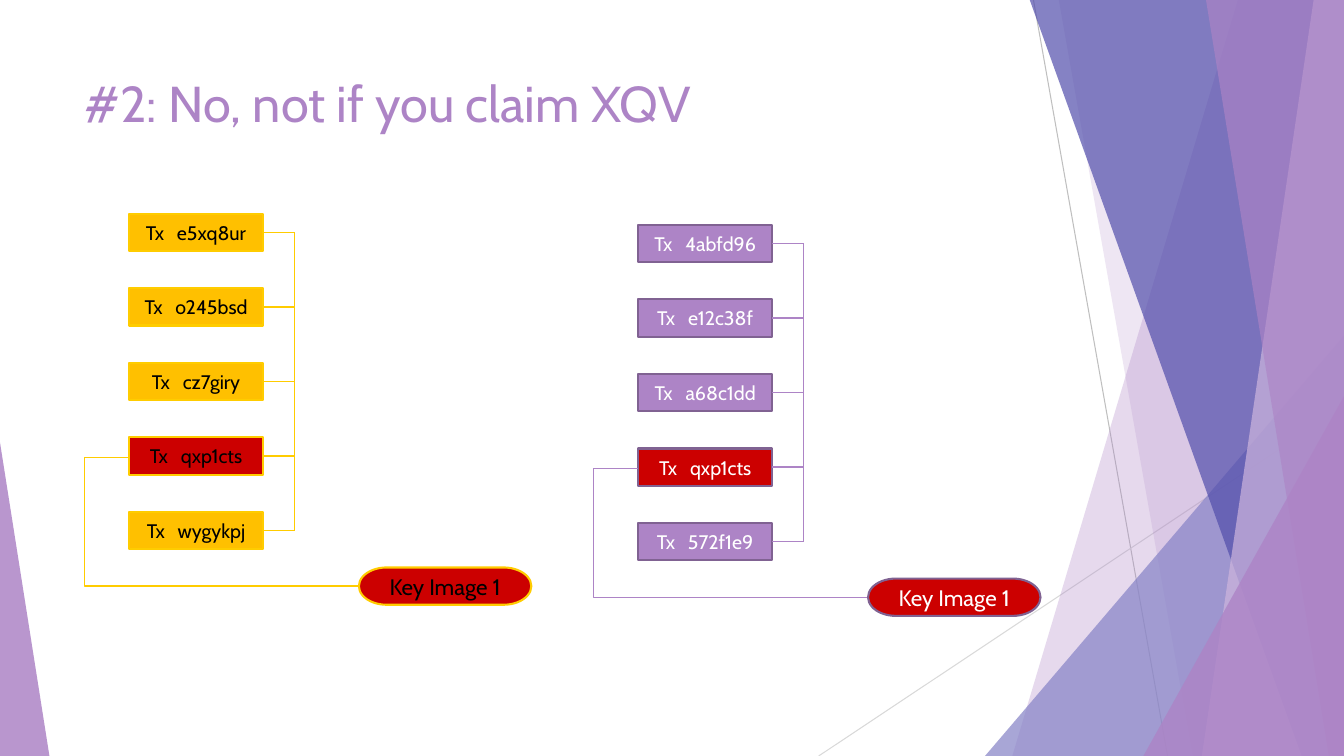
from dataclasses import dataclass

import lxml.etree
import pptx
import pptx.dml.color
import pptx.enum.shapes
import pptx.enum.text
import pptx.oxml.ns
import pptx.util

PX = 9144  # EMU in one px, 100 px to the inch
WIDTH, HEIGHT = 1333, 750
FONT = "Cabin"
COLORS = {
    "lilac": "AD84C6", "pale lilac": "CEB5DD", "blue": "8784C7", "indigo": "524EAB",
    "plum": "806292", "amber": "FFC000", "yellow": "FFCC00", "red": "CC0000",
    "black": "000000", "white": "FFFFFF", "grey": "BFBFBF", "light grey": "D9D9D9",
}
Kind = pptx.enum.shapes.MSO_SHAPE
Link = pptx.enum.shapes.MSO_CONNECTOR
Align = pptx.enum.text.PP_ALIGN
Anchor = pptx.enum.text.MSO_ANCHOR
qn = pptx.oxml.ns.qn


@dataclass
class Shard:
    """A slanted band that reaches the right edge of the slide."""
    top_x: int
    bottom_x: int
    color: str
    opacity: int


@dataclass
class Wedge:
    """A triangle standing on the bottom edge, its peak at the left (0) or right (1)."""
    left: int
    top: int
    width: int
    peak: int
    color: str
    opacity: int


@dataclass
class Ring:
    """A column of transactions that share one key image."""
    left: int
    top: int
    hashes: tuple[str, ...]
    fill: str
    border: str
    wire: str
    ink: str


BACKDROP = (
    Shard(1228, 1004, "lilac", 30),
    Shard(1050, 1183, "lilac", 20),
    Wedge(977, 333, 356, 1, "blue", 72),
    Shard(1021, 1291, "indigo", 70),
    Shard(1303, 1192, "pale lilac", 70),
    Shard(1196, 1318, "lilac", 65),
    Wedge(1134, 393, 199, 1, "lilac", 80),
    Wedge(0, 439, 49, 0, "lilac", 85),
)
RINGS = (
    Ring(128, 212, ("e5xq8ur", "o245bsd", "cz7giry", "qxp1cts", "wygykpj"),
         "amber", "yellow", "yellow", "black"),
    Ring(633, 223, ("4abfd96", "e12c38f", "a68c1dd", "qxp1cts", "572f1e9"),
         "lilac", "plum", "lilac", "white"),
)
SPENT = "qxp1cts"
BOX_WIDTH, BOX_HEIGHT, PITCH, STUB = 133, 37, 74, 31
KEY_X, KEY_Y, KEY_WIDTH = 228, 351, 171  # from the ring's top left corner
ELBOW_Y, ELBOW_ADJUST = 242, -19500


def px(value: float) -> int:
    return pptx.util.Emu(round(value * PX))


def rgb(name: str) -> pptx.dml.color.RGBColor:
    return pptx.dml.color.RGBColor.from_string(COLORS[name])


def write(shape, text: str, *, size: int, color: str, align=Align.CENTER,
          anchor=Anchor.MIDDLE, gap: int = 0) -> None:
    """Set the text; a gap in points widens its first space."""
    frame = shape.text_frame
    frame.word_wrap = True
    frame.vertical_anchor = anchor
    para = frame.paragraphs[0]
    para.alignment = align
    for part in text.partition(" ") if gap else (text,):
        span = para.add_run()
        span.text = part
        span.font.name = FONT
        span.font.size = pptx.util.Pt(size)
        span.font.color.rgb = rgb(color)
        if part == " ":
            span.font._element.set("spc", str(gap * 100))


def paint(shape, color: str, *, border: str = "", opacity: int = 100) -> None:
    shape.shadow.inherit = False
    shape.fill.solid()
    shape.fill.fore_color.rgb = rgb(color)
    if opacity < 100:
        tint = shape.element.find(".//" + qn("a:srgbClr"))
        lxml.etree.SubElement(tint, qn("a:alpha")).set("val", str(opacity * 1000))
    if border:
        shape.line.color.rgb = rgb(border)
        shape.line.width = pptx.util.Pt(1.5)
    else:
        shape.line.fill.background()


def add_label(page, kind, left: int, top: int, width: int, *, fill: str, border: str):
    shape = page.shapes.add_shape(kind, px(left), px(top), px(width), px(BOX_HEIGHT))
    paint(shape, fill, border=border)
    return shape


def add_wire(page, start: tuple[float, float], end: tuple[float, float], color: str, *,
             kind=Link.STRAIGHT, weight: float = 1):
    wire = page.shapes.add_connector(kind, *map(px, start + end))
    wire.line.color.rgb = rgb(color)
    wire.line.width = pptx.util.Pt(weight)
    lxml.etree.SubElement(wire.element.spPr, qn("a:effectLst"))
    return wire


def add_shard(page, shard: Shard) -> None:
    builder = page.shapes.build_freeform(shard.top_x, -1, scale=float(PX))
    builder.add_line_segments(
        [(WIDTH, -1), (WIDTH, HEIGHT), (shard.bottom_x, HEIGHT)], close=True)
    paint(builder.convert_to_shape(), shard.color, opacity=shard.opacity)


def add_wedge(page, wedge: Wedge) -> None:
    shape = page.shapes.add_shape(Kind.ISOSCELES_TRIANGLE, px(wedge.left), px(wedge.top),
                                  px(wedge.width), px(HEIGHT - wedge.top))
    shape.adjustments[0] = wedge.peak
    paint(shape, wedge.color, opacity=wedge.opacity)


def add_ring(page, ring: Ring) -> None:
    # Transactions, each with a stub to the shared bus
    right = ring.left + BOX_WIDTH
    bus = right + STUB
    middles = [ring.top + row * PITCH + BOX_HEIGHT / 2 for row in range(len(ring.hashes))]
    for middle, code in zip(middles, ring.hashes):
        box = add_label(page, Kind.RECTANGLE, ring.left, round(middle - BOX_HEIGHT / 2),
                        BOX_WIDTH, fill="red" if code == SPENT else ring.fill,
                        border=ring.border)
        write(box, f"Tx {code}", size=14, color=ring.ink, gap=6)
        stub = add_wire(page, (right, middle), (bus, middle), ring.wire)
        stub.begin_connect(box, 3)
    add_wire(page, (bus, middles[0]), (bus, middles[-1]), ring.wire)

    # Key image and the elbow that leads to it
    key_left, key_top = ring.left + KEY_X, ring.top + KEY_Y
    elbow = add_wire(page, (ring.left, ring.top + ELBOW_Y),
                     (key_left, key_top + BOX_HEIGHT / 2), ring.wire, kind=Link.ELBOW)
    guides = elbow.element.spPr.find(".//" + qn("a:avLst"))
    guide = lxml.etree.SubElement(guides, qn("a:gd"))
    guide.set("name", "adj1")
    guide.set("fmla", f"val {ELBOW_ADJUST}")
    key = add_label(page, Kind.FLOWCHART_TERMINATOR, key_left, key_top, KEY_WIDTH,
                    fill="red", border=ring.border)
    write(key, "Key Image 1", size=16, color=ring.ink)


def main() -> None:
    deck = pptx.Presentation()
    deck.slide_width, deck.slide_height = px(WIDTH), px(HEIGHT)
    page = deck.slides.add_slide(deck.slide_layouts[5])

    # Backdrop
    add_wire(page, (1025, 0), (1158, HEIGHT), "grey", weight=0.75)
    add_wire(page, (WIDTH, 403), (812, HEIGHT), "light grey", weight=0.75)
    for piece in BACKDROP:
        if isinstance(piece, Shard):
            add_shard(page, piece)
        else:
            add_wedge(page, piece)

    # Transaction rings
    for ring in RINGS:
        add_ring(page, ring)

    # Title, in front of the backdrop
    title = page.shapes.title
    title.left, title.top, title.width, title.height = map(px, (74, 67, 989, 144))
    write(title, "#2: No, not if you claim XQV", size=36, color="lilac",
          align=Align.LEFT, anchor=Anchor.TOP)
    title.element.getparent().append(title.element)

    deck.save("out.pptx")


if __name__ == "__main__":
    main()
